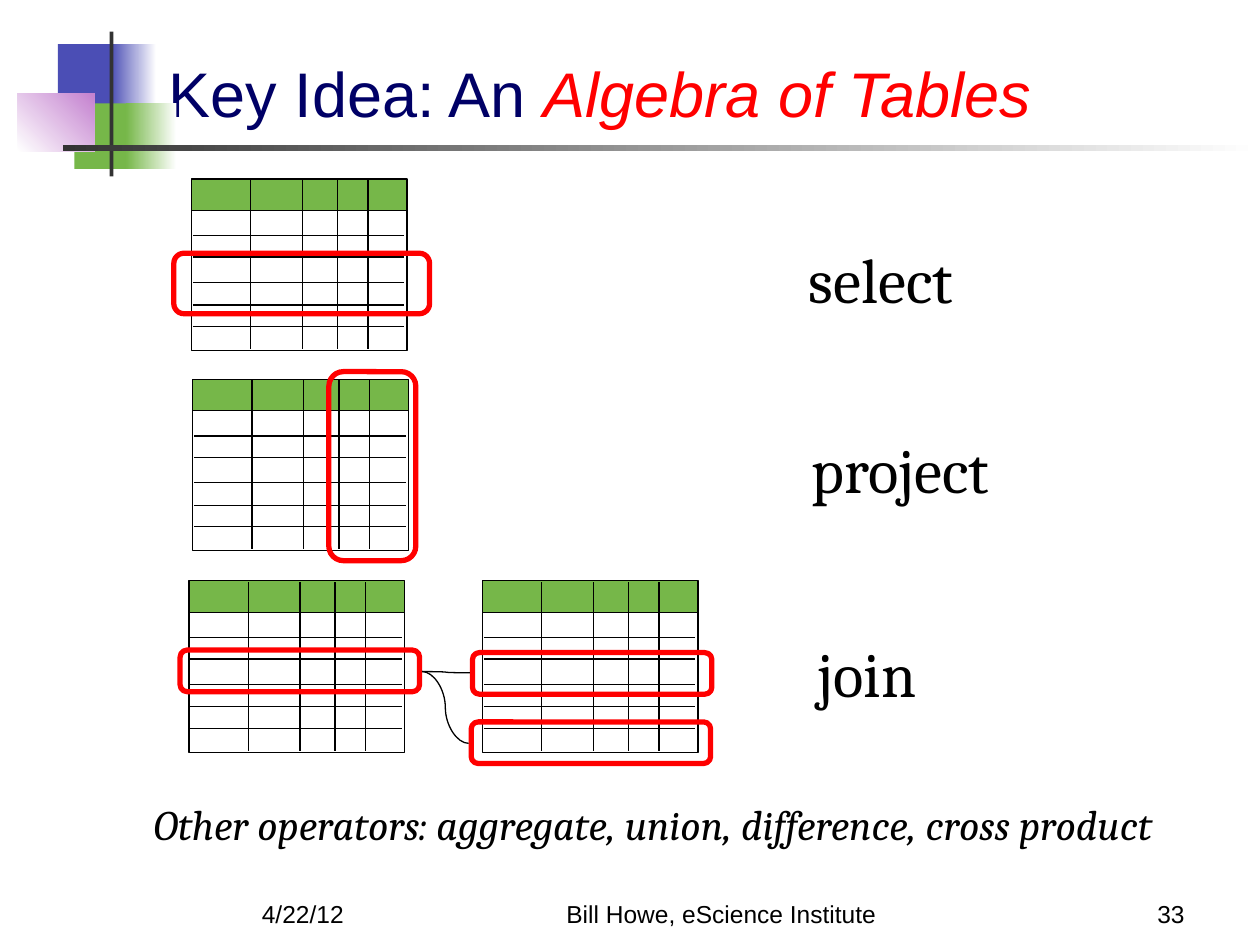
from lxml.etree import SubElement
from pptx import Presentation
from pptx.dml.color import RGBColor
from pptx.enum.shapes import MSO_CONNECTOR as CONN, MSO_SHAPE as SHAPE
from pptx.enum.text import MSO_ANCHOR as ANCHOR, PP_ALIGN as ALIGN
from pptx.oxml.ns import qn
from pptx.util import Inches, Pt

COLORS = {
    "blue": "4B4EB5", "green": "76B749", "purple": "C481CF", "dark": "333333",
    "navy": "000066", "red": "FF0000", "black": "000000", "white": "FFFFFF",
}
TABLE_W, TABLE_H, HEADER_H = 1.71, 1.36, 0.25
ROW_LINES = [0.25, 0.45, 0.62, 0.82, 1.0, 1.17]
COLUMN_LINES = [0.47, 0.88, 1.16, 1.4]


def rgb(name):
    return RGBColor.from_string(COLORS[name])


def add_box(slide, box, fill=None, line=None, width=0.75, kind=SHAPE.RECTANGLE):
    sp = slide.shapes.add_shape(kind, *map(Inches, box))
    sp.shadow.inherit = False
    if fill:
        sp.fill.solid()
        sp.fill.fore_color.rgb = rgb(fill)
    else:
        sp.fill.background()
    if line:
        sp.line.color.rgb = rgb(line)
        sp.line.width = Pt(width)
    else:
        sp.line.fill.background()
    return sp


def add_gradient(slide, box, start, end, angle=0):
    sp = add_box(slide, box)
    sp.fill.gradient()
    sp.fill.gradient_angle = angle
    for stop, color, pos in zip(sp.fill.gradient_stops, (start, end), (0, 1)):
        stop.color.rgb = rgb(color)
        stop.position = pos


def add_line(slide, x1, y1, x2, y2, kind=CONN.STRAIGHT):
    line = slide.shapes.add_connector(kind, *map(Inches, (x1, y1, x2, y2)))
    line.line.color.rgb = rgb("black")
    line.line.width = Pt(0.75)
    SubElement(line._element.spPr, qn("a:effectLst"))


def format_run(r, font, size, color, italic=False):
    r.font.name = font
    r.font.size = Pt(size)
    r.font.color.rgb = rgb(color)
    r.font.italic = italic


def add_text(slide, box, text, font, size, italic=False,
             align=ALIGN.LEFT, anchor=ANCHOR.TOP):
    tf = slide.shapes.add_textbox(*map(Inches, box)).text_frame
    tf.word_wrap = True
    tf.vertical_anchor = anchor
    p = tf.paragraphs[0]
    p.text = text
    p.alignment = align
    format_run(p.runs[0], font, size, "black", italic)


def add_decoration(slide, x, y):
    add_box(slide, (x + 0.32, y + 0.1, 0.48, 0.52), "blue")
    add_gradient(slide, (x + 0.74, y + 0.1, 0.36, 0.52), "blue", "white")
    add_box(slide, (x + 0.45, y + 0.57, 0.46, 0.52), "green")
    add_gradient(slide, (x + 0.86, y + 0.57, 0.4, 0.52), "green", "white")
    add_gradient(slide, (x, y + 0.49, 0.61, 0.46), "white", "purple", 45)
    add_box(slide, (x + 0.73, y, 0.03, 1.15), "dark")
    add_gradient(slide, (x + 0.36, y + 0.9, 9.5, 0.05), "dark", "white")


def add_title(slide, x, y, w, h):
    title = slide.shapes.title
    title.left, title.top, title.width, title.height = map(Inches, (x, y, w, h))
    tf = title.text_frame
    tf.word_wrap = True
    tf.vertical_anchor = ANCHOR.BOTTOM
    p = tf.paragraphs[0]
    p.alignment = ALIGN.LEFT
    for text, color, italic in (("Key Idea: An ", "navy", False),
                                ("Algebra of Tables", "red", True)):
        r = p.add_run()
        r.text = text
        format_run(r, "Arial", 36, color, italic)


def add_grid(slide, x, y):
    add_box(slide, (x, y + 0.01, TABLE_W, TABLE_H - 0.01), "white", "black")
    add_box(slide, (x, y, TABLE_W, HEADER_H), "green", "black")
    for dy in ROW_LINES:
        add_line(slide, x + 0.01, y + dy, x + TABLE_W - 0.02, y + dy)
    for dx in COLUMN_LINES:
        add_line(slide, x + dx, y + 0.01, x + dx, y + TABLE_H - 0.01)


def add_highlight(slide, *box):
    sp = add_box(slide, box, line="red", width=3, kind=SHAPE.ROUNDED_RECTANGLE)
    sp.adjustments[0] = 0.167


def add_operator(slide, x, y, name):
    add_text(slide, (x, y, 3.09, 0.7), name, "Cambria", 36)


def add_select(slide, x, y):
    add_grid(slide, x, y)
    add_highlight(slide, x - 0.14, y + 0.59, 2.03, 0.48)
    add_operator(slide, x + 4.8, y + 0.44, "select")


def add_project(slide, x, y):
    add_grid(slide, x, y)
    add_highlight(slide, x + 1.08, y - 0.06, 0.69, 1.5)
    add_operator(slide, x + 4.81, y + 0.36, "project")


def add_join(slide, x, y):
    for dx in (0, 2.33):
        add_grid(slide, x + dx, y)
    for dx, dy in ((-0.07, 0.55), (2.25, 0.57), (2.24, 1.12)):
        add_highlight(slide, x + dx, y + dy, 1.9, 0.33)
    for dx, dy in ((2.23, 0.73), (2.22, 1.29)):
        add_line(slide, x + 1.85, y + 0.72, x + dx, y + dy, CONN.CURVE)
    add_operator(slide, x + 4.89, y + 0.38, "join")


def add_footer(slide, y, h):
    for x, w, text, align in (
        (1.98, 2.08, "4/22/12", ALIGN.LEFT),
        (4.14, 3.17, "Bill Howe, eScience Institute", ALIGN.CENTER),
        (7.42, 2.08, "33", ALIGN.RIGHT),
    ):
        add_text(slide, (x, y, w, h), text, "Arial", 14,
                 align=align, anchor=ANCHOR.BOTTOM)


def main():
    prs = Presentation()
    prs.slide_width, prs.slide_height = Inches(10), Inches(7.5)
    slide = prs.slides.add_slide(prs.slide_layouts[5])
    add_decoration(slide, 0.14, 0.25)
    add_title(slide, 1.24, 0.35, 8.52, 0.73)
    add_select(slide, 1.52, 1.42)
    add_project(slide, 1.53, 3.01)
    add_join(slide, 1.5, 4.61)
    add_text(slide, (1.12, 6.29, 8.55, 0.5),
             "Other operators: aggregate, union, difference, cross product",
             "Cambria", 24, italic=True)
    add_footer(slide, 6.92, 0.5)
    prs.save("out.pptx")


if __name__ == "__main__":
    main()
